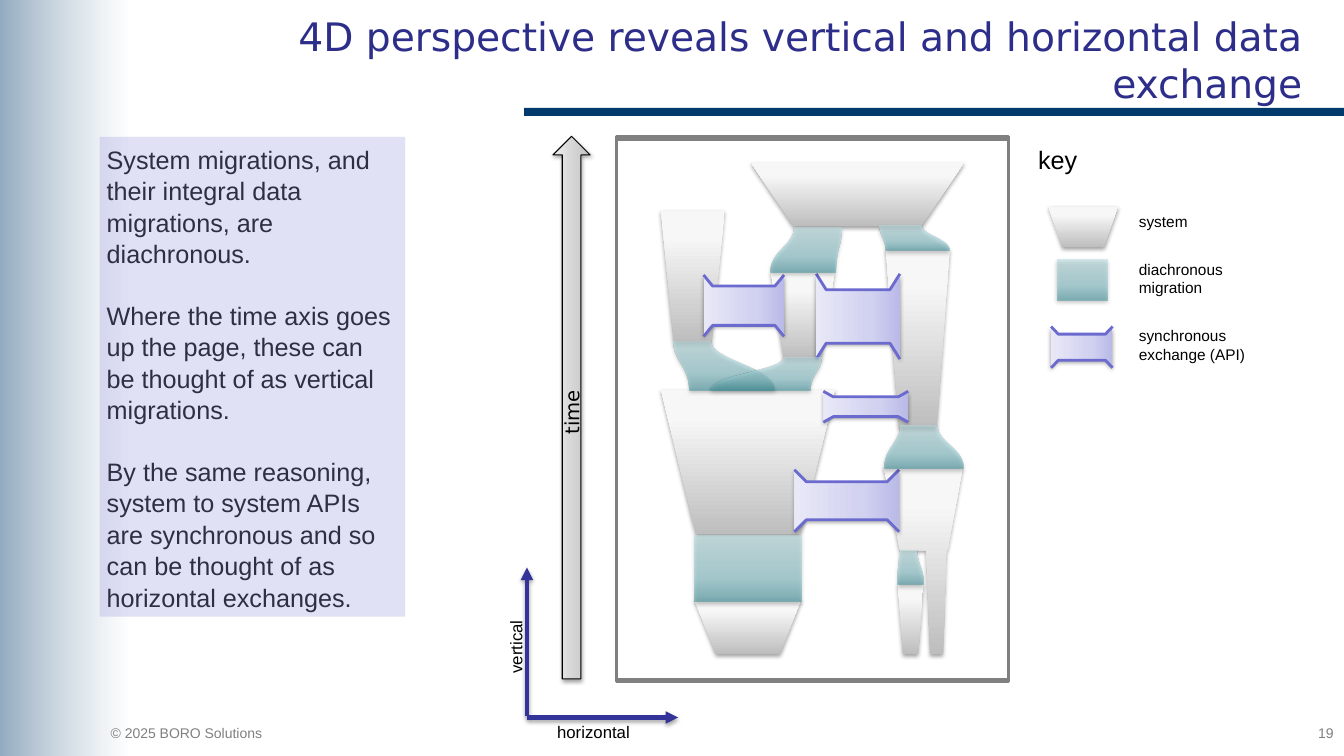
from lxml import etree
from pptx import Presentation
from pptx.dml.color import RGBColor
from pptx.enum import shapes as kinds, text as txt
from pptx.oxml.ns import qn
from pptx.util import Cm, Pt

BLACK = RGBColor(0x00, 0x00, 0x00)
WHITE = RGBColor(0xFF, 0xFF, 0xFF)
GREY = RGBColor(0x80, 0x80, 0x80)
NAVY = RGBColor(0x00, 0x39, 0x6B)
INDIGO = RGBColor(0x2D, 0x2D, 0x8A)
AXIS = RGBColor(0x33, 0x33, 0x99)
LILAC = RGBColor(0x9C, 0x9C, 0xDF)
EDGE = RGBColor(0x6B, 0x6B, 0xCF)
BAND = [(0, RGBColor(0x01, 0x39, 0x6C), 61), (100, WHITE, 41)]
STEEL = [(0, RGBColor(0xBD, 0xBD, 0xBD), 100), (35, RGBColor(0xD1, 0xD1, 0xD1), 100),
         (100, RGBColor(0xEE, 0xEE, 0xEE), 100)]
SYSTEM = [(0, RGBColor(0xBE, 0xBE, 0xBE), 100), (80, RGBColor(0xF7, 0xF7, 0xF7), 100),
          (100, RGBColor(0xF8, 0xF8, 0xF8), 100)]
API = [(0, RGBColor(0xBA, 0xBA, 0xE8), 100), (35, RGBColor(0xD1, 0xD1, 0xF0), 100),
       (100, RGBColor(0xE8, 0xE8, 0xF7), 100)]
TEAL = [(0, RGBColor(0x45, 0x97, 0xA0), 60), (35, RGBColor(0x8A, 0xC6, 0xCD), 60),
        (100, RGBColor(0xBA, 0xDD, 0xE1), 60)]
KIND = kinds.MSO_SHAPE
RIGHT = txt.PP_ALIGN.RIGHT
LEFT = txt.PP_ALIGN.LEFT

deck = Presentation()
deck.slide_width, deck.slide_height = Cm(33.87), Cm(19.05)
slide = deck.slides.add_slide(deck.slide_layouts[5])
items = slide.shapes
raised = []


def paint(shape, stops, angle):
    shape.line.fill.background()
    shape.shadow.inherit = False
    shape.fill.gradient()
    shape.fill.gradient_angle = angle
    ramp = shape.element.spPr.find(qn("a:gradFill")).find(qn("a:gsLst"))
    for stop in list(ramp):
        ramp.remove(stop)
    for spot, tint, alpha in stops:
        stop = etree.SubElement(ramp, qn("a:gs"), pos=str(spot * 1000))
        color = etree.SubElement(stop, qn("a:srgbClr"), val=str(tint))
        etree.SubElement(color, qn("a:alpha"), val=str(alpha * 1000))


def trace(points, close=True):
    spots = [(Cm(x), Cm(y)) for x, y in points]
    pen = items.build_freeform(*spots[0], scale=1.0)
    pen.add_line_segments(spots[1:], close=close)
    shape = pen.convert_to_shape()
    shape.shadow.inherit = False
    return shape


bar = items.add_shape(KIND.RECTANGLE, Cm(13.21), Cm(2.72), Cm(20.66), Cm(0.2))
bar.fill.solid()
bar.fill.fore_color.rgb = NAVY
bar.line.fill.background()
bar.shadow.inherit = False

band = items.add_shape(KIND.RECTANGLE, 0, 0, Cm(3.23), Cm(19.05))
paint(band, BAND, 0)
veil = items.add_shape(KIND.RECTANGLE, 0, 0, Cm(3.23), Cm(19.05))

title = items.title
title.left, title.top, title.width, title.height = Cm(3.12), Cm(0.38), Cm(29.95), Cm(2.21)
frame = title.text_frame
frame.auto_size = txt.MSO_AUTO_SIZE.NONE
frame.vertical_anchor = txt.MSO_ANCHOR.MIDDLE
para = frame.paragraphs[0]
para.alignment = RIGHT
run = para.add_run()
run.text = "4D perspective reveals vertical and horizontal data exchange"
run.font.size, run.font.name = Pt(28), "DejaVu Sans"
run.font.color.rgb = INDIGO

arrow = items.add_shape(KIND.RIGHT_ARROW, Cm(7.57), Cm(9.8), Cm(13.67), Cm(0.94))
arrow.rotation = 270
paint(arrow, STEEL, 90)
arrow.line.color.rgb = BLACK
arrow.line.width = Pt(0.75)
raised.append(arrow)
para = arrow.text_frame.paragraphs[0]
para.alignment = txt.PP_ALIGN.CENTER
run = para.add_run()
run.text = "time"
run.font.size, run.font.name = Pt(14), "DejaVu Sans"
run.font.color.rgb = BLACK

for top in (3.45, 3.51):
    box = items.add_shape(KIND.RECTANGLE, Cm(15.54), Cm(top), Cm(9.88), Cm(13.67))
    box.fill.background()
    box.line.color.rgb = GREY
    box.line.width = Pt(2)
    box.shadow.inherit = False

systems = [
    (16.66, 9.83, 4.39, 3.63), (16.66, 5.31, 1.6, 3.3), (19.43, 6.86, 1.6, 2.16),
    (18.92, 4.09, 5.38, 1.6), (22.33, 6.3, 1.6, 4.45), (17.5, 15.11, 2.69, 1.37),
    (22.63, 14.73, 0.64, 1.75), (26.42, 5.21, 1.75, 1.02),
]
for place in systems:
    shape = items.add_shape(KIND.FLOWCHART_MANUAL_OPERATION, *map(Cm, place))
    paint(shape, SYSTEM, 90)
    raised.append(shape)
split = trace([(22.28, 11.79), (24.26, 11.79), (23.88, 13.87), (23.85, 13.87),
               (23.77, 16.48), (23.44, 16.48), (23.34, 13.87), (22.68, 13.87)])
paint(split, SYSTEM, 90)
raised.append(split)

links = [
    (20.02, 11.84, 22.66, 13.4, 0.3, 0.3),
    (20.57, 6.9, 22.68, 9.05, 0.25, 0.4),
    (20.75, 9.86, 22.89, 10.64, 0.25, 0.14),
    (17.73, 6.93, 19.76, 8.48, 0.23, 0.28),
    (26.49, 8.23, 28.04, 9.27, 0.18, 0.19),
]
for left, top, right, base, dx, dy in links:
    upper = [(left, top), (left + dx, top + dy), (right - dx, top + dy), (right, top)]
    lower = [(right, base), (right - dx, base - dy), (left + dx, base - dy), (left, base)]
    body = trace(upper + lower)
    paint(body, API, 180)
    raised.append(body)
    for side in (upper, lower):
        rim = trace(side, close=False)
        rim.fill.background()
        rim.line.color.rgb = EDGE
        rim.line.width = Pt(2)

flows = [
    (10.72, 11.81, 22.68, 23.62, 22.28, 24.28),
    (13.87, 14.73, 22.68, 23.11, 22.63, 23.27),
    (5.69, 6.32, 22.17, 23.24, 22.33, 23.93),
    (8.61, 9.83, 16.97, 17.93, 17.37, 19.53),
    (9.02, 9.83, 19.74, 20.7, 17.91, 20.42),
    (5.74, 6.86, 20.02, 21.21, 19.43, 21.06),
]
steps = [i / 16 for i in range(17)]
for top, base, left, right, low, high in flows:
    sides = []
    for start, end in ((left, low), (right, high)):
        sides.append([
            (start + (end - start) * (3 * s**2 - 2 * s**3),
             top + (base - top) * (1.2 * s * (1 - s)**2 + 1.5 * s**2 * (1 - s) + s**3))
            for s in steps])
    shape = trace(sides[0] + sides[1][::-1])
    paint(shape, TEAL, 90)
    raised.append(shape)
for place in ((17.5, 13.49, 2.69, 1.68), (26.64, 6.55, 1.27, 1.02)):
    shape = items.add_shape(KIND.RECTANGLE, *map(Cm, place))
    paint(shape, TEAL, 90)
    raised.append(shape)

story = [
    "System migrations, and their integral data migrations, are diachronous.",
    "Where the time axis goes up the page, these can be thought of as vertical migrations.",
    "By the same reasoning, system to system APIs are synchronous and so can be "
    "thought of as horizontal exchanges.",
]
labels = [
    (story, 2.44, 3.48, 7.7, 11.79, 18, BLACK, LEFT, 0),
    (["key"], 25.91, 3.51, 2.74, 1.02, 18, BLACK, LEFT, 0),
    (["system"], 28.45, 5.23, 3.12, 0.74, 11, BLACK, LEFT, 0),
    (["diachronous migration"], 28.45, 6.43, 3.12, 1.19, 11, BLACK, LEFT, 0),
    (["synchronous exchange (API)"], 28.45, 8.1, 3.73, 1.19, 11, BLACK, LEFT, 0),
    (["horizontal"], 13.79, 18.06, 2.54, 0.76, 12, BLACK, LEFT, 0),
    (["vertical"], 11.73, 15.57, 2.54, 0.76, 12, BLACK, LEFT, 270),
    (["© 2025 BORO Solutions"], 2.54, 18.14, 6.4, 0.69, 10, GREY, LEFT, 0),
    (["19"], 30.61, 18.14, 3.25, 0.79, 10, GREY, RIGHT, 0),
]
for lines, x, y, w, h, size, tint, align, turn in labels:
    box = items.add_textbox(Cm(x), Cm(y), Cm(w), Cm(h))
    box.rotation = turn
    frame = box.text_frame
    frame.word_wrap = True
    for i, line in enumerate(lines):
        para = frame.add_paragraph() if i else frame.paragraphs[0]
        para.alignment = align
        if len(lines) > 1:
            para.line_spacing = 1.04
        if i:
            para.space_before = Pt(21.6)
        run = para.add_run()
        run.text = line
        run.font.size, run.font.name = Pt(size), "Arial"
        run.font.color.rgb = tint

panel = items.add_shape(KIND.RECTANGLE, Cm(2.51), Cm(3.45), Cm(7.7), Cm(12.09))
for shape, tint in ((veil, WHITE), (panel, LILAC)):
    shape.fill.solid()
    shape.fill.fore_color.rgb = tint
    color = shape.element.spPr.find(qn("a:solidFill"))[0]
    etree.SubElement(color, qn("a:alpha"), val="30000")
    shape.line.fill.background()
    shape.shadow.inherit = False

for place in ((13.28, 18.03, 13.28, 14.3), (13.28, 18.08, 17.09, 18.08)):
    axis = items.add_connector(kinds.MSO_CONNECTOR.STRAIGHT, *map(Cm, place))
    axis.line.color.rgb = AXIS
    axis.line.width = Pt(3)
    etree.SubElement(axis.line._get_or_add_ln(), qn("a:tailEnd"), type="triangle")
    etree.SubElement(axis.element.spPr, qn("a:effectLst"))
    raised.append(axis)

for shape in raised:
    glow = shape.element.spPr.find(qn("a:effectLst"))
    cast = etree.SubElement(glow, qn("a:outerShdw"), blurRad=str(Pt(3.1)),
                            dist=str(Pt(1.6)), dir="5400000", rotWithShape="0")
    color = etree.SubElement(cast, qn("a:srgbClr"), val=str(BLACK))
    etree.SubElement(color, qn("a:alpha"), val="37000")

deck.save("out.pptx")
